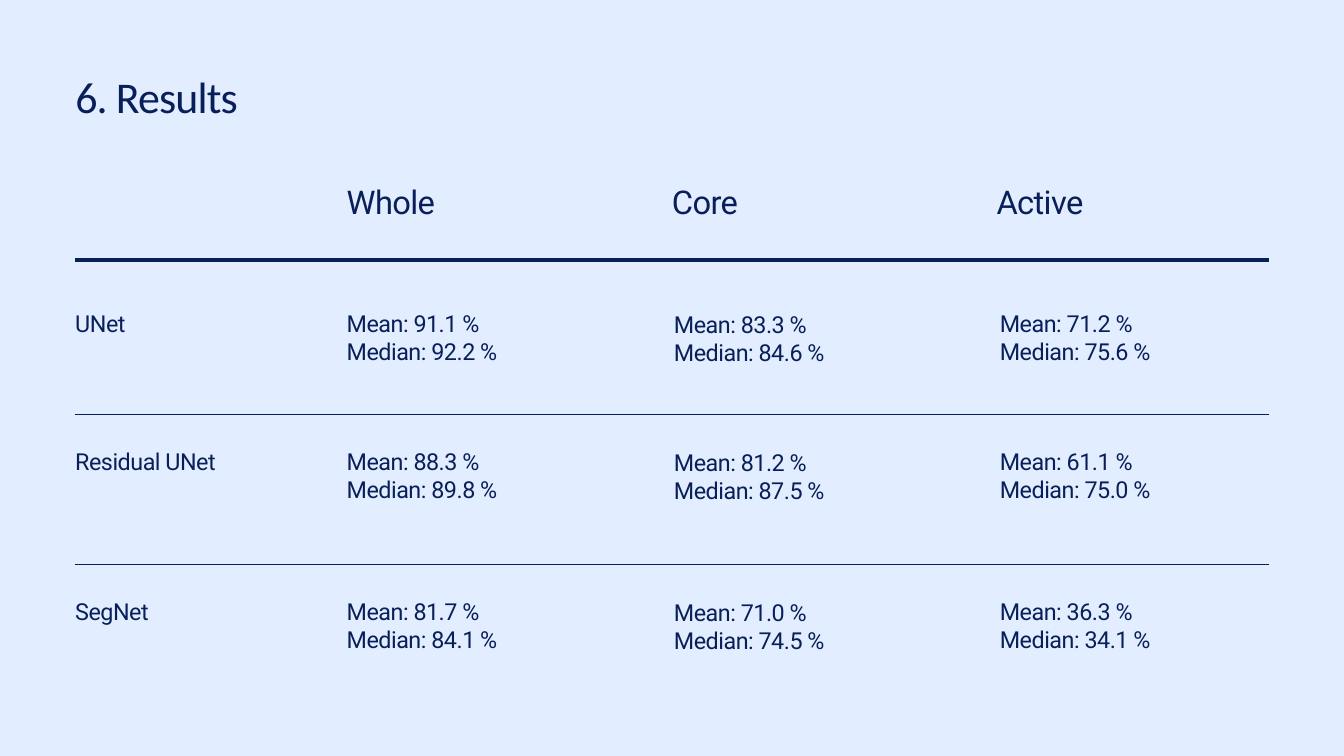
from lxml import etree
from pptx import Presentation
from pptx.dml.color import RGBColor
from pptx.enum.shapes import MSO_CONNECTOR
from pptx.enum.text import MSO_AUTO_SIZE
from pptx.oxml.ns import qn
from pptx.util import Inches, Pt

NAVY = RGBColor(0x09, 0x1F, 0x59)
PALE_BLUE = RGBColor(0xE2, 0xEE, 0xFF)

MARGIN, CONTENT_WIDTH = 1.12, 17.76
ROW_LABEL_WIDTH = 2.13

# Column heading, heading left, value left, value drop below the row label
COLUMNS = [
    ("Whole", 5.16, 5.16, 0),
    ("Core", 10, 10.03, 0.02),
    ("Active", 14.83, 14.88, 0),
]
# Model, text top, (mean, median) for each column
ROWS = [
    ("UNet", 4.6, [(91.1, 92.2), (83.3, 84.6), (71.2, 75.6)]),
    ("Residual UNet", 6.65, [(88.3, 89.8), (81.2, 87.5), (61.1, 75.0)]),
    ("SegNet", 8.88, [(81.7, 84.1), (71.0, 74.5), (36.3, 34.1)]),
]
# Rule top, line width in points
RULES = [(3.87, 4.5), (6.16, 0.75), (8.4, 0.75)]


def add_text(slide, text, left, top, width, height, size, font_name="Roboto"):
    box = slide.shapes.add_textbox(Inches(left), Inches(top), Inches(width), Inches(height))
    frame = box.text_frame
    frame.margin_left = frame.margin_right = frame.margin_top = frame.margin_bottom = 0
    frame.word_wrap = True
    frame.auto_size = MSO_AUTO_SIZE.SHAPE_TO_FIT_TEXT
    frame.text = text
    for paragraph in frame.paragraphs:
        paragraph.line_spacing = Pt(size * 1.2)
        for run in paragraph.runs:
            run.font.name = font_name
            run.font.size = Pt(size)
            run.font.color.rgb = NAVY
            # Tighten letters by 2 % of the size, in hundredths of a point
            run.font._element.set("spc", str(-2 * size))


def add_rule(slide, left, top, width, weight):
    rule = slide.shapes.add_connector(
        MSO_CONNECTOR.STRAIGHT, Inches(left), Inches(top), Inches(left + width), Inches(top))
    rule.line.color.rgb = NAVY
    rule.line.width = Pt(weight)
    etree.SubElement(rule._element.spPr, qn("a:effectLst"))


def add_results(slide, left, width):
    # Horizontal rules
    for top, weight in RULES:
        add_rule(slide, left, top, width, weight)

    # Column headings
    for heading, heading_left, _, _ in COLUMNS:
        add_text(slide, heading, heading_left, 2.71, 2.13, 0.58, 35)

    # Row labels and scores
    for model, top, scores in ROWS:
        add_text(slide, model, left, top, ROW_LABEL_WIDTH, 0.41, 25)
        for (_, _, value_left, drop), (mean, median) in zip(COLUMNS, scores):
            text = f"Mean: {mean:.1f} %\nMedian: {median:.1f} %"
            add_text(slide, text, value_left, top + drop, 3, 0.81, 25)


def main():
    presentation = Presentation()
    presentation.slide_width = Inches(20)
    presentation.slide_height = Inches(11.25)
    slide = presentation.slides.add_slide(presentation.slide_layouts[6])
    slide.background.fill.solid()
    slide.background.fill.fore_color.rgb = PALE_BLUE

    add_text(slide, "6. Results", MARGIN, 1.04, 5.52, 0.78, 47, "Calibri")
    add_results(slide, MARGIN, CONTENT_WIDTH)
    presentation.save("out.pptx")


if __name__ == "__main__":
    main()
